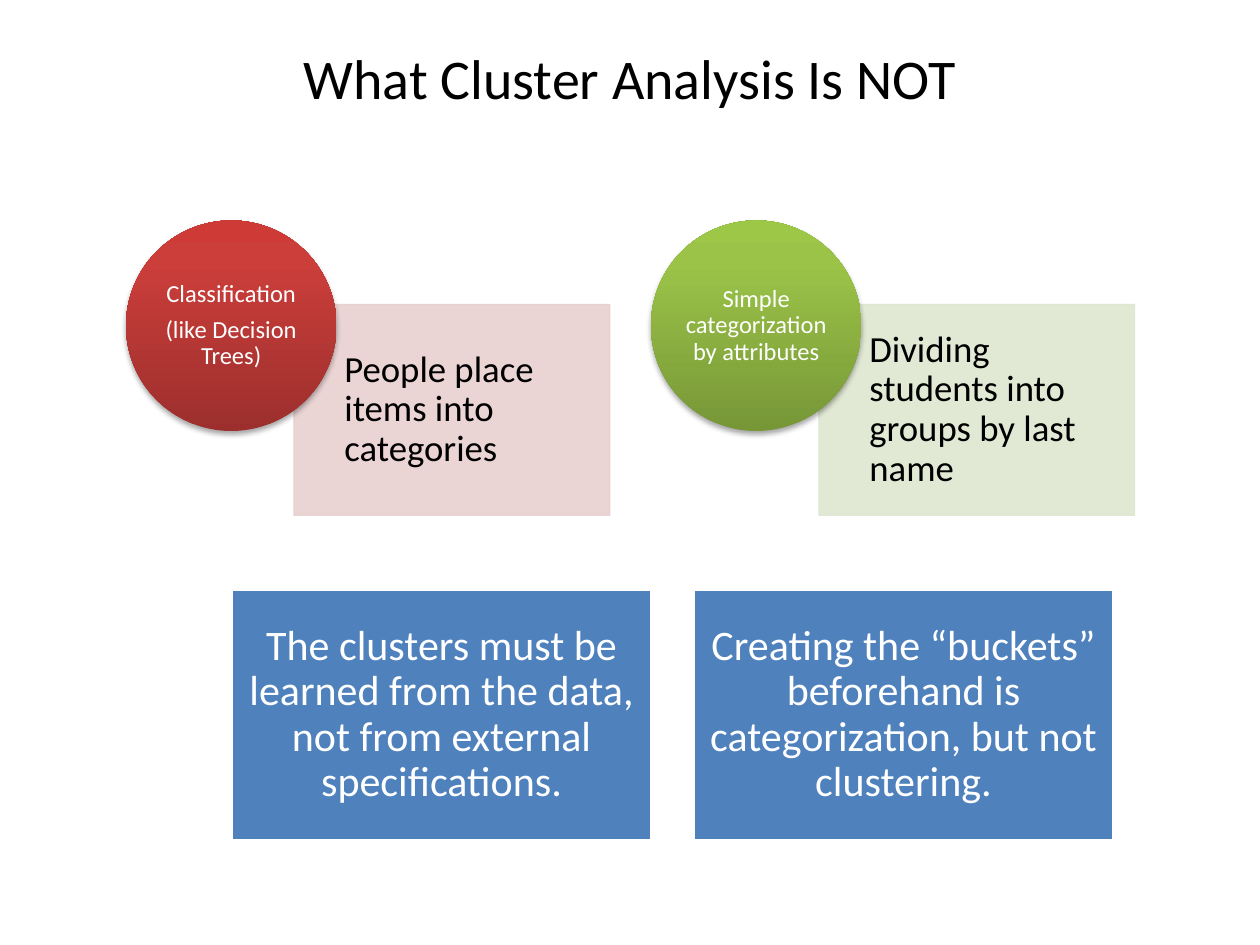
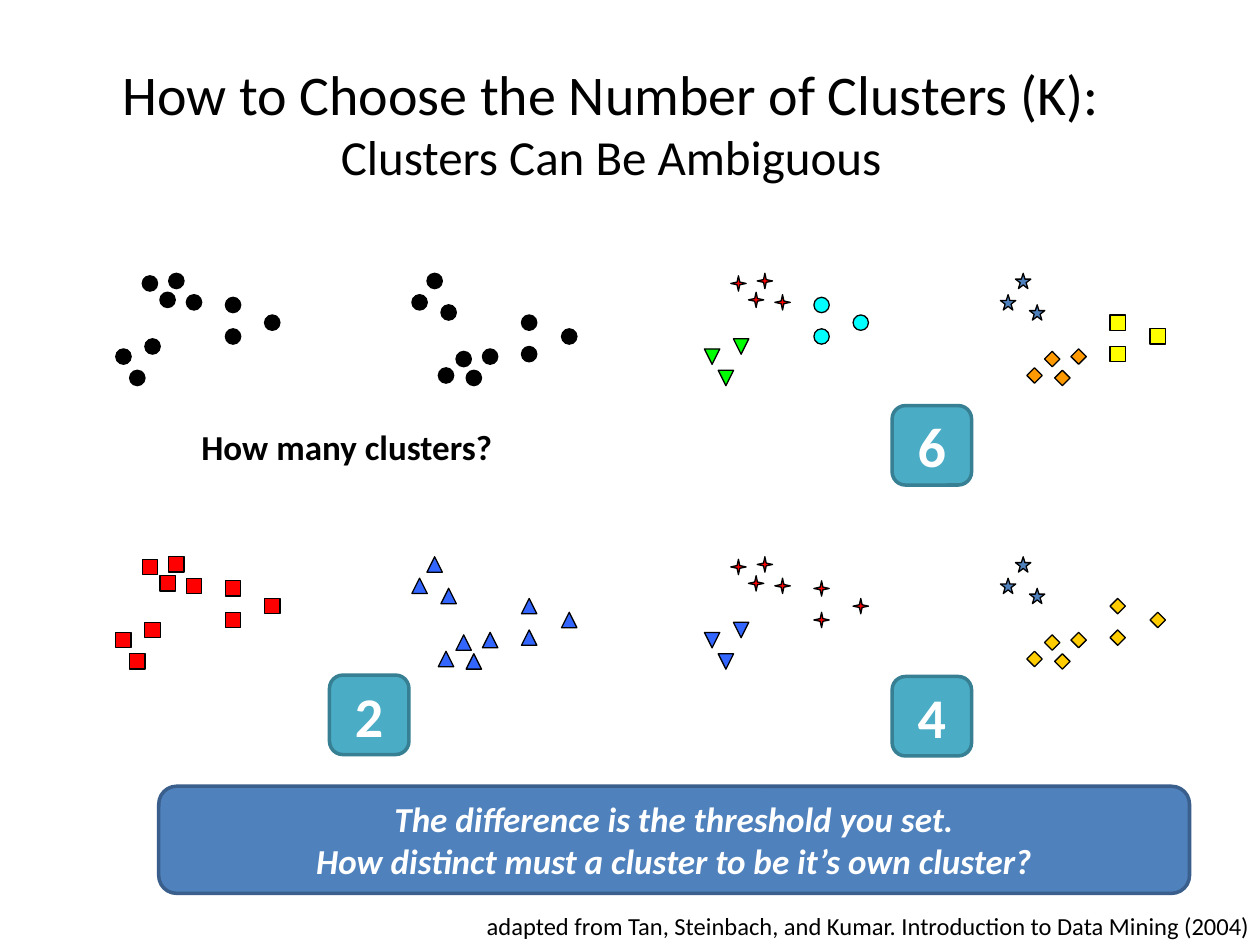
from copy import deepcopy

from lxml import etree
from pptx import Presentation
from pptx.dml.color import RGBColor
from pptx.enum.shapes import MSO_SHAPE
from pptx.enum.text import MSO_ANCHOR, PP_ALIGN
from pptx.oxml import parse_xml
from pptx.oxml.ns import nsdecls, qn
from pptx.util import Pt

LEFT, CENTER, RIGHT = PP_ALIGN.LEFT, PP_ALIGN.CENTER, PP_ALIGN.RIGHT
TOP, MIDDLE = MSO_ANCHOR.TOP, MSO_ANCHOR.MIDDLE
RECT, ROUND_RECT = MSO_SHAPE.RECTANGLE, MSO_SHAPE.ROUNDED_RECTANGLE
CIRCLE, DIAMOND, TRIANGLE = MSO_SHAPE.OVAL, MSO_SHAPE.DIAMOND, MSO_SHAPE.ISOSCELES_TRIANGLE
STAR4, STAR5 = MSO_SHAPE.STAR_4_POINT, MSO_SHAPE.STAR_5_POINT

FONT = "Calibri"
BLACK, WHITE, BLUE = "000000", "FFFFFF", "4F81BD"
BLUE_EDGE, TEAL, TEAL_EDGE = "3A5F8C", "4BACC6", "377F92"
RED, ROYAL, GOLD = "FF0000", "3366FF", "FFCC00"
TITLE_SIZE = 32
INSETS = (7.2, 3.6, 7.2, 3.6)

# Slide 1
NOT_TITLE = "What Cluster Analysis Is NOT"
NOT_CLUSTERING = [
    {"name": ["Classification", "(like Decision Trees)"],
     "example": "People place items into categories",
     "tint": "E8D0D0", "gradient": ("9C2F2D", "CB3E3A", "CE3B37")},
    {"name": ["Simple categorization by attributes"],
     "example": "Dividing students into groups by last name",
     "tint": "DEE7D1", "gradient": ("779737", "9BC348", "9DC746")},
]
REASONS = [
    "The clusters must be learned from the data, not from external specifications.",
    "Creating the “buckets” beforehand is categorization, but not clustering.",
]
GRADIENT_STOPS = (0, 0.8, 1)

# Slide 2
K_TITLE = ["How to Choose the Number of Clusters (K):", "Clusters Can Be Ambiguous"]
QUESTION = "How many clusters?"
TAKEAWAY = ["The difference is the threshold you set.",
            "How distinct must a cluster to be it’s own cluster?"]
CREDIT = "adapted from Tan, Steinbach, and Kumar. Introduction to Data Mining (2004)"

# Offsets of the data points from the corner of a panel, by neighbourhood
POINTS = {
    "lower right": [(209.5, 43.2), (184.3, 54), (200.2, 55.4), (194.4, 44.6)],
    "upper right": [(185.8, 18), (169.2, 12.2), (177.8, 0)],
    "far right": [(231.8, 41.8), (254.7, 31.7), (231.8, 23.8)],
    "upper left": [(40.3, 12.2), (15.1, 1.4), (30.2, 0), (25.2, 10.8)],
    "lower left": [(16.6, 37.4), (0, 43.2), (7.9, 55.4)],
    "mid left": [(62.6, 13.7), (85, 23.8), (62.6, 31.7)],
}
# (column, row) of a panel: marker (shape, colour, rotation) per neighbourhood, in POINTS order
DOT = (CIRCLE, BLACK, 0)
RED_SQUARE, BLUE_TRIANGLE = (RECT, RED, 0), (TRIANGLE, ROYAL, 0)
RED_STAR, BLUE_STAR = (STAR4, RED, 0), (STAR5, BLUE, 0)
GOLD_DIAMOND = (DIAMOND, GOLD, 0)
PANELS = {
    (0, 0): [DOT] * 6,
    (1, 1): [GOLD_DIAMOND, BLUE_STAR, GOLD_DIAMOND, RED_STAR, (TRIANGLE, ROYAL, 180), RED_STAR],
    (0, 1): [BLUE_TRIANGLE] * 3 + [RED_SQUARE] * 3,
    (1, 0): [(DIAMOND, "FF9900", 0), BLUE_STAR, (RECT, "FFFF00", 0),
             RED_STAR, (TRIANGLE, "00FF00", 180), (CIRCLE, "00FFFF", 0)],
}
PANEL_LEFT, PANEL_TOP, PANEL_DX, PANEL_DY = 66.2, 156.2, 336.3, 162
MARKER = 8.8
BADGES = [("6", 509.8, 231.8), ("2", 188.3, 385.8), ("4", 509.8, 386.6)]


def rgb(color):
    return RGBColor.from_string(color)


def write(shape, text, size, color=BLACK, align=CENTER, anchor=MIDDLE, bold=False,
          italic=False, insets=INSETS, spacing=None, after=None, wrap=True):
    """Fill a shape with paragraphs; size is one number or one per paragraph."""
    frame = shape.text_frame
    frame.word_wrap, frame.vertical_anchor = wrap, anchor
    frame.margin_left, frame.margin_top, frame.margin_right, frame.margin_bottom = map(Pt, insets)
    lines = [text] if isinstance(text, str) else text
    sizes = size if isinstance(size, tuple) else (size,) * len(lines)
    for index, (line, points) in enumerate(zip(lines, sizes)):
        paragraph = frame.paragraphs[0] if index == 0 else frame.add_paragraph()
        paragraph.alignment = align
        paragraph.line_spacing = spacing
        if after is not None:
            paragraph.space_after = Pt(after)
        run = paragraph.add_run()
        run.text = line
        run.font.name, run.font.size = FONT, Pt(points)
        run.font.bold, run.font.italic = bold, italic
        run.font.color.rgb = rgb(color)


def add_text(slide, box, text, size, **style):
    write(slide.shapes.add_textbox(*map(Pt, box)), text, size, **style)


def add_figure(slide, kind, box, fill=None, line=None, width=0.75):
    figure = slide.shapes.add_shape(kind, *map(Pt, box))
    figure.shadow.inherit = False
    if fill:
        figure.fill.solid()
        figure.fill.fore_color.rgb = rgb(fill)
    if line:
        figure.line.color.rgb = rgb(line)
        figure.line.width = Pt(width)
    else:
        figure.line.fill.background()
    return figure


def make_translucent(figure, percent):
    for color in figure._element.spPr.iter(qn("a:srgbClr")):
        etree.SubElement(color, qn("a:alpha"), val=str(percent * 1000))


def shade(figure, colors):
    """Vertical gradient running from the bottom up, with a soft shadow below."""
    figure.fill.gradient()
    figure.fill.gradient_angle = 90
    stop_list = figure._element.spPr.find(".//" + qn("a:gsLst"))
    stop_list.append(deepcopy(stop_list[-1]))
    for stop, color, position in zip(figure.fill.gradient_stops, colors, GRADIENT_STOPS):
        stop.color.rgb = rgb(color)
        stop.position = position
    effects = figure._element.spPr.find(qn("a:effectLst"))
    effects.append(parse_xml(
        f'<a:outerShdw {nsdecls("a")} blurRad="{Pt(3.1)}" dist="{Pt(1.8)}" dir="5400000" '
        'rotWithShape="0"><a:srgbClr val="000000"><a:alpha val="35000"/></a:srgbClr>'
        '</a:outerShdw>'))


def build_not_clustering(slide):
    add_text(slide, (36, -0.7, 648, 90), NOT_TITLE, TITLE_SIZE)
    for index, item in enumerate(NOT_CLUSTERING):
        left = 72 + 300 * index
        example = add_figure(slide, RECT, (left + 96, 174, 180.4, 120.4),
                             item["tint"], item["tint"])
        make_translucent(example, 90)
        write(example, item["example"], 21, align=LEFT, spacing=0.9, after=7,
              insets=(28.8, 11.5, 11.5, 11.5))
        circle = add_figure(slide, CIRCLE, (left, 126, 120.3, 120.3))
        shade(circle, item["gradient"])
        write(circle, item["name"], 14, color=WHITE, spacing=0.9, after=5, insets=(0,) * 4)
    for index, reason in enumerate(REASONS):
        box = add_figure(slide, RECT, (132.3 + 264 * index, 336.5, 240, 144), BLUE, WHITE, 2)
        write(box, reason, 24, color=WHITE, spacing=0.9, after=8, insets=(7.2,) * 4)


def build_choosing_k(slide):
    for (column, row), markers in PANELS.items():
        left, top = PANEL_LEFT + PANEL_DX * column, PANEL_TOP + PANEL_DY * row
        for points, (kind, color, rotation) in zip(POINTS.values(), markers):
            for x, y in points:
                marker = add_figure(slide, kind, (left + x, top + y, MARKER, MARKER),
                                    color, BLACK)
                marker.rotation = rotation
                if kind == STAR4:
                    marker.adjustments[0] = 0.125
    takeaway = add_figure(slide, ROUND_RECT, (90.7, 449.3, 589, 61.2), BLUE, BLUE_EDGE, 2)
    write(takeaway, TAKEAWAY, 20, color=WHITE, bold=True, italic=True)
    add_text(slide, (108, 239.8, 211, 31.7), QUESTION, 20, bold=True,
             align=LEFT, anchor=TOP, wrap=False)
    for count, left, top in BADGES:
        badge = add_figure(slide, ROUND_RECT, (left, top, 45.4, 45.4), TEAL, TEAL_EDGE, 2)
        write(badge, count, 32, color=WHITE, bold=True)
    add_text(slide, (84.2, 516.8, 637.2, 24), CREDIT, 14, align=RIGHT, anchor=TOP)
    add_text(slide, (25.2, 30.2, 648, 90), K_TITLE, (TITLE_SIZE, 28), anchor=TOP)


def main():
    deck = Presentation()
    deck.slide_width, deck.slide_height = Pt(720), Pt(540)
    blank = deck.slide_layouts[6]
    for build in (build_not_clustering, build_choosing_k):
        build(deck.slides.add_slide(blank))
    deck.save("out.pptx")


if __name__ == "__main__":
    main()
